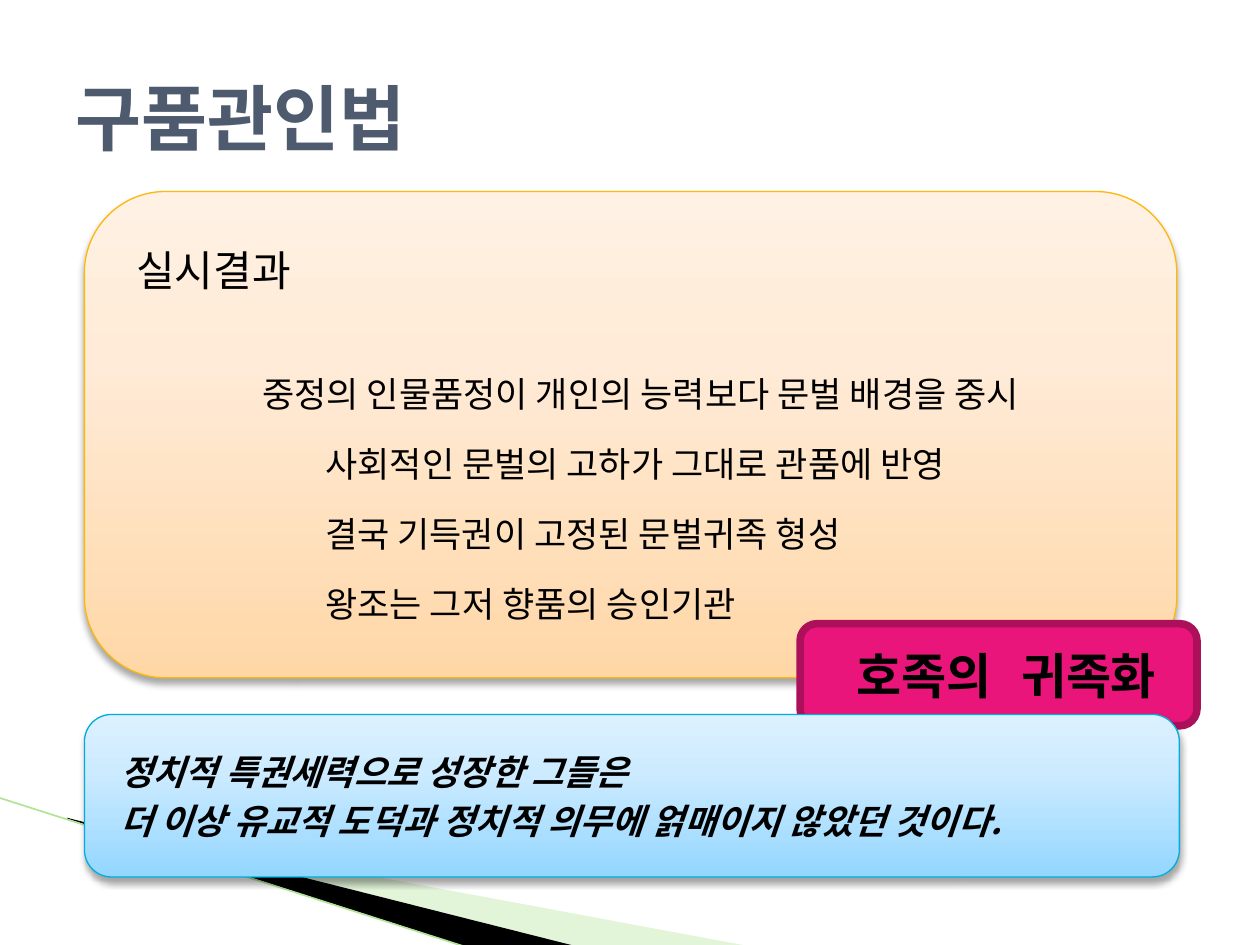
from dataclasses import dataclass

from lxml import etree
from pptx import Presentation
from pptx import util as u
from pptx.dml.color import RGBColor
from pptx.enum import shapes, text
from pptx.oxml.ns import qn


@dataclass(frozen=True)
class Theme:
    heading_font: str = "Noto Sans Mono"
    body_font: str = "Noto Sans CJK KR"
    title_size: float = 41
    callout_size: float = 28
    lead_size: float = 24
    body_size: float = 20
    title: str = "4E5B6F"
    ink: str = "000000"
    pale_green: str = "B8E7A1"
    line_green: str = "B1E399"
    pink: str = "EA157A"
    pink_edge: str = "AD105A"
    orange_edge: str = "FEB80A"
    blue_edge: str = "00ADDC"
    orange_stops: tuple = ((0, "FFD7A7"), (65, "FFEBD7"), (100, "FFF1E3"))
    blue_stops: tuple = ((0, "93D6FF"), (65, "CDEBFF"), (100, "DCF1FF"))


THEME = Theme()


def child(parent, tag, **attributes):
    values = {key: str(value) for key, value in attributes.items()}
    return etree.SubElement(parent, qn(tag), values)


def paint(shape, color):
    shape.fill.solid()
    shape.fill.fore_color.rgb = RGBColor.from_string(color)


def paint_gradient(shape, stops):
    """Fill from bottom to top."""
    shape.fill.gradient()
    gradient = shape.element.spPr.find(qn("a:gradFill"))
    stop_list = gradient.find(qn("a:gsLst"))
    for stop in list(stop_list):
        stop_list.remove(stop)
    for position, color in stops:
        stop = child(stop_list, "a:gs", pos=position * 1000)
        child(stop, "a:srgbClr", val=color)
    gradient.find(qn("a:lin")).set("ang", str(270 * 60000))


def drop_shadow(shape):
    effects = shape.element.spPr.find(qn("a:effectLst"))
    shadow = child(effects, "a:outerShdw", blurRad=u.Pt(4), dist=u.Pt(3),
                   dir=90 * 60000, rotWithShape=0)
    color = child(shadow, "a:srgbClr", val=THEME.ink)
    child(color, "a:alpha", val=35000)


def add_wedge(page, points, color, opacity=100):
    points = [(u.Pt(x), u.Pt(y)) for x, y in points]
    builder = page.shapes.build_freeform(*points[0], scale=1.0)
    builder.add_line_segments(points[1:], close=True)
    wedge = builder.convert_to_shape()
    wedge.shadow.inherit = False
    paint(wedge, color)
    wedge.line.fill.background()
    if opacity < 100:
        fill = wedge.element.spPr.find(qn("a:solidFill"))
        child(fill[0], "a:alpha", val=opacity * 1000)


def add_rule(page, start, end, color, width):
    ends = [u.Pt(value) for value in (*start, *end)]
    rule = page.shapes.add_connector(shapes.MSO_CONNECTOR.STRAIGHT, *ends)
    rule.line.color.rgb = RGBColor.from_string(color)
    rule.line.width = u.Pt(width)
    child(rule.element.spPr, "a:effectLst")


def add_panel(page, frame, edge, edge_width, color=None, stops=None):
    panel = page.shapes.add_shape(shapes.MSO_SHAPE.ROUNDED_RECTANGLE,
                                  *(u.Pt(value) for value in frame))
    panel.shadow.inherit = False
    panel.line.color.rgb = RGBColor.from_string(edge)
    panel.line.width = u.Pt(edge_width)
    if stops:
        paint_gradient(panel, stops)
        drop_shadow(panel)
    else:
        paint(panel, color)
    return panel


def write(shape, lines, size, font, color=THEME.ink, bold=False, italic=False,
          align=text.PP_ALIGN.LEFT, indent=9, before=4):
    frame = shape.text_frame
    frame.word_wrap = True
    frame.vertical_anchor = text.MSO_ANCHOR.MIDDLE
    frame.text = "\n".join(lines)
    for para in frame.paragraphs:
        para.alignment = align
        para.space_before = u.Pt(before)
        set_indent(para, indent)
        set_font(para, size, font)
        para.runs[0].font.color.rgb = RGBColor.from_string(color)
        para.runs[0].font.bold = bold
        para.runs[0].font.italic = italic
    return frame.paragraphs


def set_indent(para, indent):
    properties = para._p.get_or_add_pPr()
    properties.set("marL", str(u.Pt(indent)))
    properties.set("indent", "0")


def set_font(para, size, font):
    span = para.runs[0]
    span.font.size = u.Pt(size)
    span.font.name = font
    properties = span._r.get_or_add_rPr()
    for old in properties.findall(qn("a:ea")):
        properties.remove(old)
    child(properties, "a:ea", typeface=font)


def add_results(page):
    panel = add_panel(page, (48.24, 109.44, 624.24, 277.92),
                      THEME.orange_edge, 0.75, stops=THEME.orange_stops)
    lead, *points = write(panel, [
        "실시결과",
        "중정의 인물품정이 개인의 능력보다 문벌 배경을 중시",
        "사회적인 문벌의 고하가 그대로 관품에 반영",
        "결국 기득권이 고정된 문벌귀족 형성",
        "왕조는 그저 향품의 승인기관",
    ], THEME.body_size, THEME.body_font)
    set_font(lead, THEME.lead_size, THEME.heading_font)
    for para in points:
        para.line_spacing = 1.5
        set_indent(para, 117)
    set_indent(points[0], 81)
    points[0].space_before = u.Pt(32)


def main():
    deck = Presentation()
    deck.slide_width, deck.slide_height = u.Pt(720), u.Pt(540)
    page = deck.slides.add_slide(deck.slide_layouts[6])

    # Sweep in the lower left corner
    add_wedge(page, [(39.6, 468.4), (428.4, 540.7), (328.3, 540.7), (39.6, 468)],
              THEME.pale_green, opacity=40)
    add_wedge(page, [(38.2, 467.3), (329, 540.7), (267.8, 541.4), (38.9, 468)],
              THEME.ink)
    add_rule(page, (-0.7, 455.8), (267.1, 541.4), THEME.line_green, 0.95)

    # Title
    box = page.shapes.add_textbox(u.Pt(36), u.Pt(21.6), u.Pt(648), u.Pt(90))
    write(box, ["구품관인법"], THEME.title_size, THEME.heading_font,
          THEME.title, bold=True, indent=0, before=0)

    # Results, callout and conclusion
    add_results(page)
    callout = add_panel(page, (457.2, 356.4, 226.8, 58.32),
                        THEME.pink_edge, 4.33, color=THEME.pink)
    write(callout, ["호족의 귀족화"], THEME.callout_size, THEME.heading_font,
          bold=True, align=text.PP_ALIGN.CENTER)
    conclusion = add_panel(page, (48.24, 408.24, 625.68, 92.88),
                           THEME.blue_edge, 0.75, stops=THEME.blue_stops)
    write(conclusion, [
        "정치적 특권세력으로 성장한 그들은",
        "더 이상 유교적 도덕과 정치적 의무에 얽매이지 않았던 것이다.",
    ], THEME.body_size, THEME.body_font, bold=True, italic=True)

    deck.save("out.pptx")


main()
